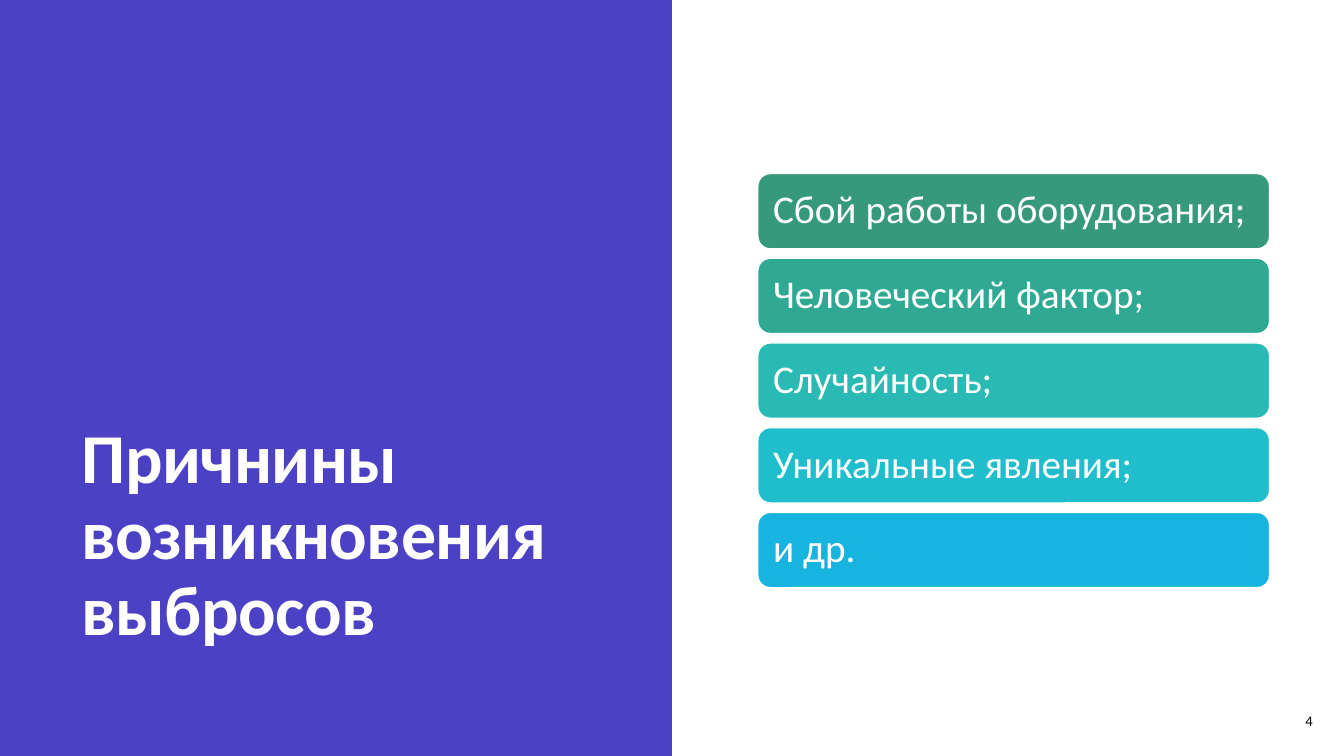
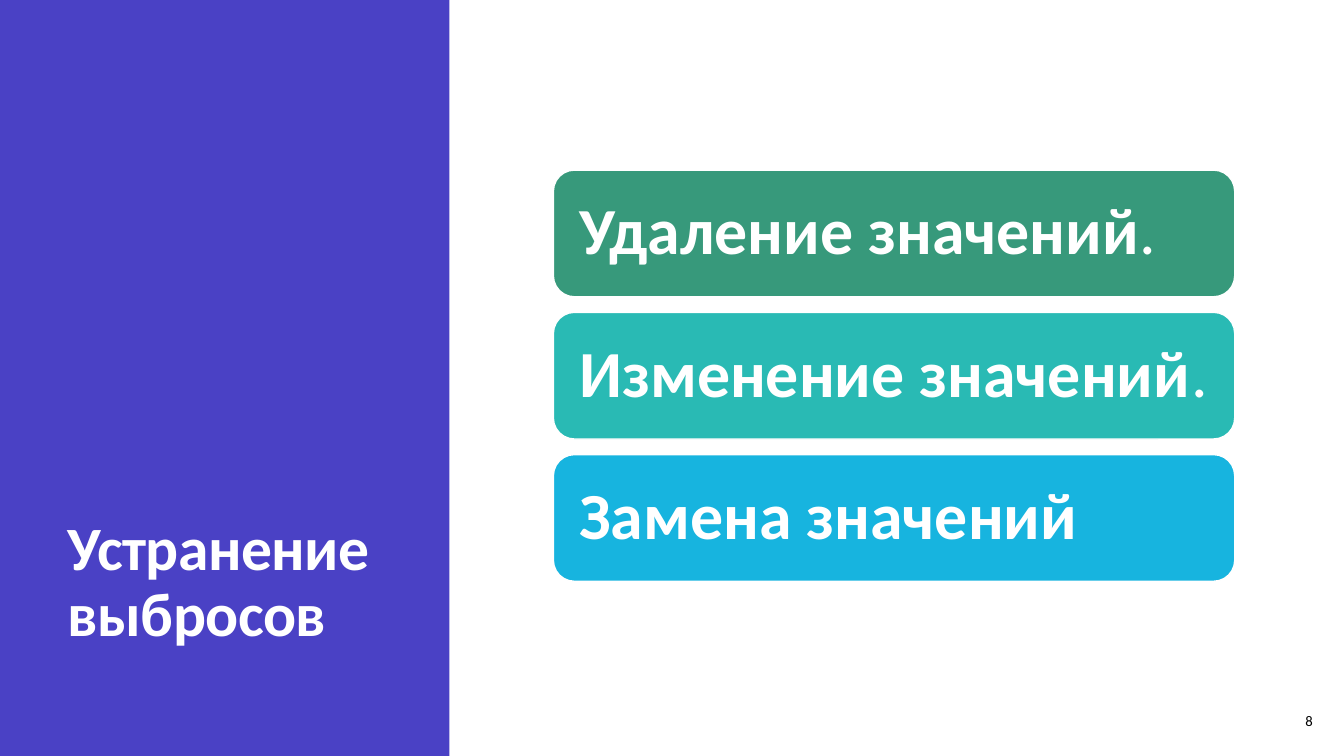
from pptx import Presentation
from pptx.dml.color import RGBColor
from pptx.enum.shapes import MSO_SHAPE
from pptx.enum.text import MSO_ANCHOR, MSO_AUTO_SIZE, PP_ALIGN
from pptx.util import Pt

RECT, ROUNDED = MSO_SHAPE.RECTANGLE, MSO_SHAPE.ROUNDED_RECTANGLE
MIDDLE, BOTTOM = MSO_ANCHOR.MIDDLE, MSO_ANCHOR.BOTTOM
LEFT, RIGHT = PP_ALIGN.LEFT, PP_ALIGN.RIGHT
NO_AUTOFIT = MSO_AUTO_SIZE.NONE

# Shared style
FONT = "Calibri"
WHITE = RGBColor(0xFF, 0xFF, 0xFF)
BLACK = RGBColor(0x00, 0x00, 0x00)
INDIGO = RGBColor(0x4A, 0x41, 0xC5)
CARD_COLORS = [
    RGBColor(0x37, 0x99, 0x7B),
    RGBColor(0x30, 0xA9, 0x94),
    RGBColor(0x29, 0xBA, 0xB4),
    RGBColor(0x20, 0xBE, 0xCC),
    RGBColor(0x17, 0xB4, 0xDF),
]
SLIDE_WIDTH, SLIDE_HEIGHT = 960, 540
TITLE_BOTTOM = 468
TITLE_ONLY = 5


def add_run(paragraph, text, size, color, bold=False):
    run = paragraph.add_run()
    run.text = text
    font = run.font
    font.name, font.size, font.bold = FONT, Pt(size), bold
    font.color.rgb = color
    return run


def add_block(slide, preset, left, top, width, height, fill):
    block = slide.shapes.add_shape(
        preset, Pt(left), Pt(top), Pt(width), Pt(height))
    block.shadow.inherit = False
    block.fill.solid()
    block.fill.fore_color.rgb = fill
    return block


def add_title_panel(slide, panel_width, text, left, top, width, size):
    """Coloured side panel with the slide title at its foot."""
    panel = add_block(slide, RECT, 0, 0, panel_width, SLIDE_HEIGHT, INDIGO)
    panel.line.fill.background()

    title = slide.shapes.title
    title.element.addprevious(panel.element)  # panel goes behind the title
    title.left, title.top = Pt(left), Pt(top)
    title.width, title.height = Pt(width), Pt(TITLE_BOTTOM - top)
    frame = title.text_frame
    frame.auto_size = NO_AUTOFIT
    frame.word_wrap = True
    frame.vertical_anchor = BOTTOM
    paragraph = frame.paragraphs[0]
    paragraph.alignment = LEFT
    paragraph.line_spacing = 0.9
    run = add_run(paragraph, text, size, WHITE, bold=True)
    run.font._element.set("spc", "-40")


def add_page_number(slide, number):
    box = slide.shapes.add_textbox(Pt(895), Pt(500.4), Pt(49.7), Pt(28.8))
    frame = box.text_frame
    frame.word_wrap = True
    frame.vertical_anchor = MIDDLE
    paragraph = frame.paragraphs[0]
    paragraph.alignment = RIGHT
    add_run(paragraph, str(number), 10.5, BLACK)


def add_card(slide, left, top, width, height, fill, runs, size, inset):
    card = add_block(slide, ROUNDED, left, top, width, height, fill)
    card.line.color.rgb = WHITE
    card.line.width = Pt(1)
    frame = card.text_frame
    frame.word_wrap = True
    frame.vertical_anchor = MIDDLE
    frame.margin_left = frame.margin_right = Pt(inset)
    frame.margin_top = frame.margin_bottom = Pt(inset)
    paragraph = frame.paragraphs[0]
    paragraph.alignment = LEFT
    paragraph.line_spacing = 0.9
    for text, bold in runs:
        add_run(paragraph, text, size, WHITE, bold)


def add_card_list(slide, items, colors, left, top, width, height, step,
                  size, inset):
    """Column of equal cards; each item is a list of (text, bold) runs."""
    for index, (runs, color) in enumerate(zip(items, colors)):
        add_card(slide, left, top + index * step, width, height, color,
                 runs, size, inset)


def main():
    deck = Presentation()
    deck.slide_width, deck.slide_height = Pt(SLIDE_WIDTH), Pt(SLIDE_HEIGHT)
    layout = deck.slide_layouts[TITLE_ONLY]

    # Causes of outliers
    causes = deck.slides.add_slide(layout)
    add_title_panel(causes, 480, "Причнины возникновения выбросов",
                    left=51, top=69, width=368, size=50)
    add_page_number(causes, 4)
    cause_texts = ["Сбой работы оборудования;", "Человеческий фактор;",
                   "Случайность;", "Уникальные явления;", "и др."]
    add_card_list(causes, [[(text, False)] for text in cause_texts],
                  CARD_COLORS, left=541.3, top=124, width=365.6, height=53.8,
                  step=60.5, size=28, inset=8.4)

    # Removing outliers
    remedies = deck.slides.add_slide(layout)
    add_title_panel(remedies, 321, "Устранение выбросов",
                    left=41, top=37, width=248, size=44)
    add_page_number(remedies, 8)
    remedy_items = [
        [("Удаление значений", True), (".", False)],
        [("Изменение значений", True), (".", False)],
        [("Замена значений", True)],
    ]
    add_card_list(remedies, remedy_items, CARD_COLORS[::2],
                  left=395.3, top=121.5, width=486.7, height=90.5,
                  step=101.6, size=47, inset=14.1)

    deck.save("out.pptx")


if __name__ == "__main__":
    main()
